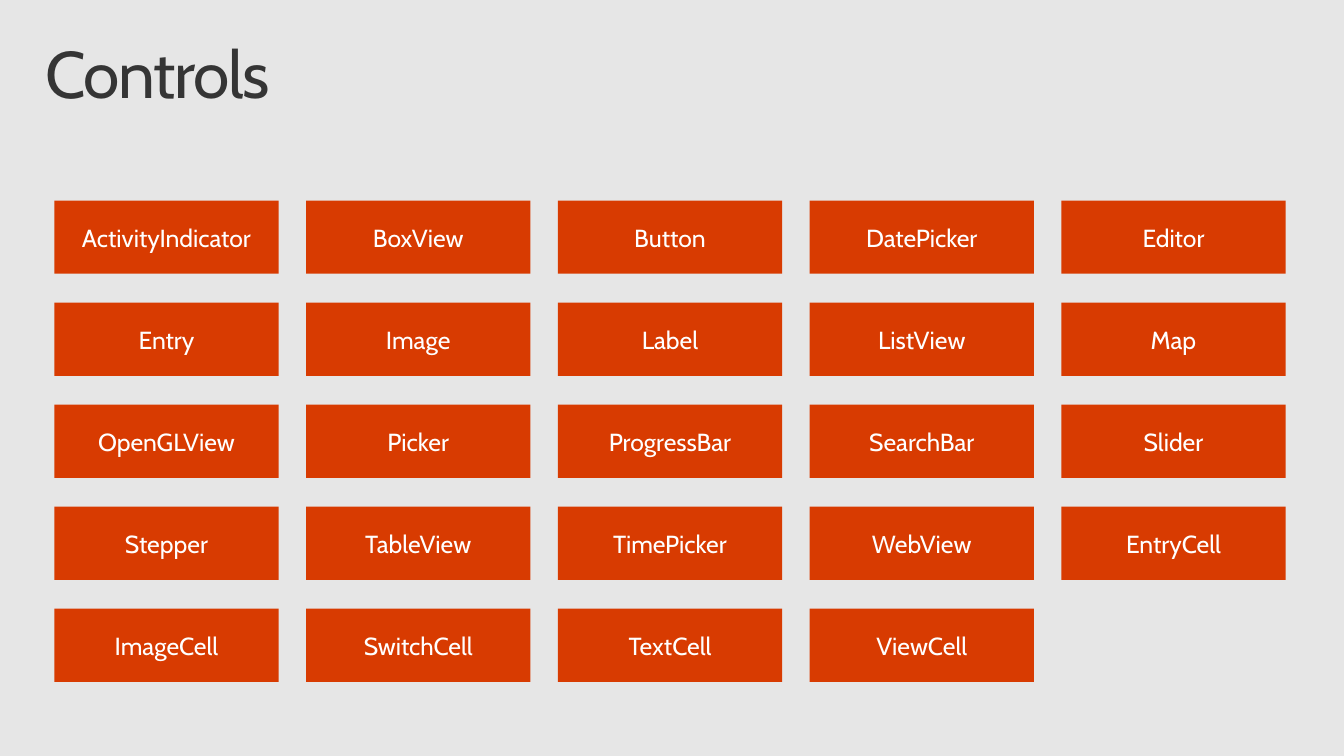
from pptx import Presentation, util as u
from pptx.dml.color import RGBColor
from pptx.enum import shapes, text

COLORS = {"background": "E6E6E6", "tile": "D83B01", "label": "FFFFFF", "title": "353535"}
FONT = "Cabin"

CONTROLS = [
    ["ActivityIndicator", "BoxView", "Button", "DatePicker", "Editor"],
    ["Entry", "Image", "Label", "ListView", "Map"],
    ["OpenGLView", "Picker", "ProgressBar", "SearchBar", "Slider"],
    ["Stepper", "TableView", "TimePicker", "WebView", "EntryCell"],
    ["ImageCell", "SwitchCell", "TextCell", "ViewCell"],
]

# Tile grid, in inches: first and last tile positions fix the pitch
LEFT, LAST_LEFT = 0.55, 10.74
TOP, LAST_TOP = 2.03, 6.16
TILE_W, TILE_H = 2.27, 0.74
COL_STEP = (LAST_LEFT - LEFT) / 4
ROW_STEP = (LAST_TOP - TOP) / 4


def color(name):
    return RGBColor.from_string(COLORS[name])


def add_run(p, words, size, color_name):
    r = p.add_run()
    r.text = words
    r.font.name = FONT
    r.font.size = u.Pt(size)
    r.font.color.rgb = color(color_name)
    return r


def add_title(s, words):
    box = s.shapes.add_textbox(u.Inches(0.3), u.Inches(0.32), u.Inches(13), u.Inches(1))
    tf = box.text_frame
    tf.word_wrap = True
    tf.margin_left = tf.margin_right = u.Inches(0.16)
    tf.margin_top = tf.margin_bottom = u.Inches(0.1)
    p = tf.paragraphs[0]
    p.line_spacing = 0.9
    r = add_run(p, words, 48, "title")
    # Tighten letter spacing by one point
    r._r.get_or_add_rPr().set("spc", "-100")


def add_tile(s, left, top, words):
    sp = s.shapes.add_shape(shapes.MSO_SHAPE.ROUNDED_RECTANGLE, u.Inches(left),
                            u.Inches(top), u.Inches(TILE_W), u.Inches(TILE_H))
    sp.adjustments[0] = 0
    sp.shadow.inherit = False
    sp.fill.solid()
    sp.fill.fore_color.rgb = color("tile")
    sp.line.fill.background()
    tf = sp.text_frame
    tf.word_wrap = True
    tf.vertical_anchor = text.MSO_ANCHOR.MIDDLE
    p = tf.paragraphs[0]
    p.alignment = text.PP_ALIGN.CENTER
    add_run(p, words, 18, "label")


def main():
    prs = Presentation()
    prs.slide_width, prs.slide_height = u.Inches(13.6), u.Inches(7.65)
    s = prs.slides.add_slide(prs.slide_layouts[6])
    s.background.fill.solid()
    s.background.fill.fore_color.rgb = color("background")

    # Control tiles
    for row, names in enumerate(CONTROLS):
        for col, name in enumerate(names):
            add_tile(s, LEFT + col * COL_STEP, TOP + row * ROW_STEP, name)

    # Heading
    add_title(s, "Controls")
    prs.save("out.pptx")


if __name__ == "__main__":
    main()
